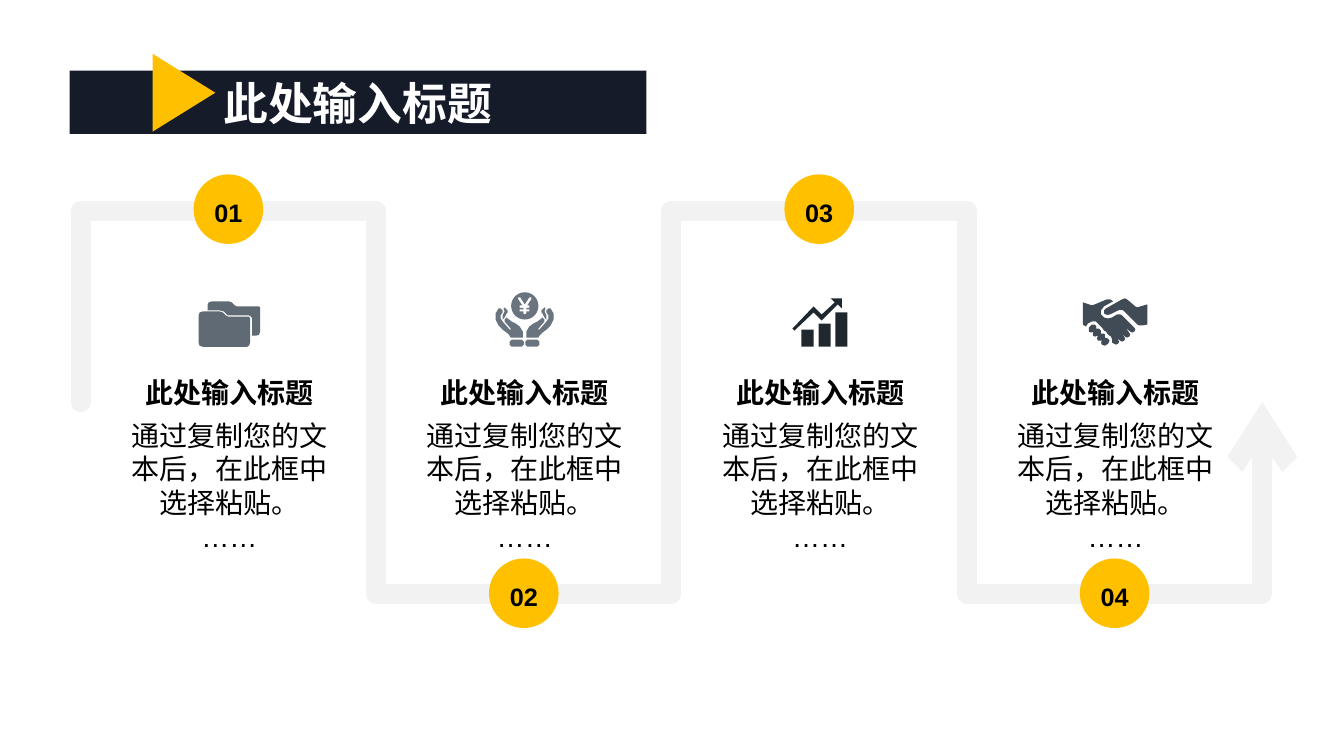
from math import cos, pi, sin

from lxml.etree import SubElement
from pptx import Presentation
from pptx.dml.color import RGBColor
from pptx.enum.shapes import MSO_SHAPE as Shape
from pptx.enum.text import MSO_ANCHOR as Anchor, PP_ALIGN as Align
from pptx.oxml.ns import qn
from pptx.util import Inches, Pt

NAVY = RGBColor(0x15, 0x1B, 0x29)
AMBER = RGBColor(0xFF, 0xC0, 0x00)
PALE = RGBColor(0xF2, 0xF2, 0xF2)
BLACK = RGBColor(0, 0, 0)
WHITE = RGBColor(0xFF, 0xFF, 0xFF)
FOLDER_GREY = RGBColor(0x60, 0x6A, 0x74)
HANDS_GREY = RGBColor(0x69, 0x74, 0x7E)
CHART_GREY = RGBColor(0x20, 0x28, 0x2F)
SHAKE_GREY = RGBColor(0x41, 0x4B, 0x56)

TITLE = "此处输入标题"
BODY = ["通过复制您的文本后，在此框中选择粘贴。", "……"]
STEP = 2.93  # distance between neighbouring columns

prs = Presentation()
prs.slide_width, prs.slide_height = Inches(13.33), Inches(7.5)
slide = prs.slides.add_slide(prs.slide_layouts[6])
shapes = slide.shapes


def outline(contours, closed=True):
    """Freeform from contours given in hundredths of an inch."""
    contours = [[(x * 10, y * 10) for x, y in c] for c in contours]
    builder = shapes.build_freeform(*contours[0][0], scale=Inches(1) / 1000)
    for number, contour in enumerate(contours):
        if number:
            builder.move_to(*contour[0])
        builder.add_line_segments(contour[1:], close=closed)
    drawn = builder.convert_to_shape()
    drawn.shadow.inherit = False
    return drawn


def write(frame, lines, size, color, bold, anchor, spacing=None):
    frame.word_wrap = True
    frame.vertical_anchor = anchor
    frame.text = "\n".join(lines)
    for paragraph in frame.paragraphs:
        paragraph.alignment = Align.CENTER
        paragraph.line_spacing = spacing
        font = paragraph.font
        font.name, font.size, font.bold = "Arial", Pt(size), bold
        font.color.rgb = color


# Icon outlines
folder = [
    [(201, 309), (218, 309), (221, 310), (224, 313), (226, 314), (247, 314), (248, 316),
     (248, 340), (247, 343), (245, 344), (201, 344), (198, 343), (197, 340), (197, 313),
     (198, 310)],
    [(210, 299), (227, 299), (230, 300), (233, 303), (235, 304), (257, 304), (258, 305),
     (258, 329), (257, 332), (254, 333), (250, 333), (250, 316), (249, 314), (247, 313),
     (226, 313), (225, 312), (222, 309), (218, 308), (206, 308), (206, 302), (207, 300)],
]
right_hand = [
    [(523, 337), (533, 337), (535, 339), (535, 342), (533, 344), (523, 344), (521, 342),
     (521, 339)],
    [(545, 306), (546, 306), (549, 311), (549, 317), (546, 323), (542, 327), (538, 330),
     (535, 333), (534, 335), (522, 335), (522, 329), (525, 324), (529, 321), (533, 319),
     (537, 316), (538, 315), (540, 317), (540, 319), (534, 326), (534, 327), (535, 327),
     (542, 319), (544, 316), (544, 313), (542, 310), (542, 308), (544, 306)],
    [(540, 305), (541, 306), (540, 309), (542, 313), (542, 317), (540, 315), (538, 311),
     (537, 310), (537, 308), (539, 306)],
]
left_hand = [[(1040.5 - x, y) for x, y in contour] for contour in right_hand]
coin = [(520.5 + 13.5 * cos(a * pi / 18), 303.5 + 13.5 * sin(a * pi / 18)) for a in range(36)]
yen = [(516, 295), (514, 295), (514, 297), (518, 303), (515.5, 303), (515.5, 305.5), (519, 305.5),
       (519, 307), (515.5, 307), (515.5, 309), (519, 309), (519, 311), (520.5, 312),
       (522, 311), (522, 309), (525, 309), (525, 307), (522, 307), (522, 305.5),
       (525, 305.5), (525, 303), (523, 303), (527, 297), (527, 295), (525, 295),
       (520.5, 302)]
growth = [
    [(815, 318), (807, 310), (788, 328), (786, 326), (807, 304), (815, 312), (828, 300),
     (824, 296), (835, 296), (835, 306), (831, 302)],
] + [[(x, top), (x + 12, top), (x + 12, 344), (x, 344)]
     for x, top in ((795, 327), (812, 321), (828.5, 310))]
handshake = [
    [(1138, 302), (1138, 322), (1133, 323), (1130, 323), (1128, 322), (1114, 308), (1112, 307.5),
     (1109, 308), (1101, 312), (1098, 312.5), (1095, 311), (1095, 308), (1097, 306),
     (1113, 297), (1116, 296), (1119, 298), (1126, 304), (1128, 305)],
    [(1096, 335), (1096, 332), (1095, 331), (1092, 331), (1092, 328), (1090, 326),
     (1087, 326), (1087.5, 324), (1086, 322), (1083, 322), (1080, 325), (1080, 329),
     (1082, 330), (1084, 329), (1084, 333), (1086, 334), (1089, 333), (1088, 336),
     (1089, 338), (1093, 338), (1092, 340), (1093, 342), (1096, 343), (1099, 341),
     (1100.5, 338), (1099, 336)],
    [(1125, 325), (1113, 313), (1111, 312), (1108, 312), (1103, 315), (1099, 316),
     (1095, 315), (1092, 312), (1092, 308), (1095, 304), (1104, 299), (1101, 297),
     (1098, 297), (1086, 302), (1083, 303), (1080, 302), (1074, 300), (1074, 322),
     (1077, 324), (1079, 321), (1083, 319), (1087, 319), (1090, 322), (1093, 325),
     (1095, 328), (1097, 329), (1099, 332), (1102, 334), (1103, 337), (1103, 340),
     (1105, 341), (1107, 342), (1109, 341), (1110, 339), (1109, 337), (1105, 333),
     (1111, 338), (1113, 339), (1115, 338), (1116, 336), (1115, 334), (1110, 329),
     (1116, 334), (1118, 335), (1120, 334), (1121, 332), (1120, 330), (1116, 325),
     (1121, 329), (1123, 330), (1125, 329), (1126, 327)],
]
icons = [
    (folder, FOLDER_GREY),
    (right_hand + left_hand + [coin, yen], HANDS_GREY),
    (growth, CHART_GREY),
    (handshake, SHAKE_GREY),
]

# Winding track: four U-shaped stretches, the last ending in an arrowhead
for column in range(4):
    left, right = 80 + column * STEP * 100, 80 + (column + 1) * STEP * 100
    turn = 589 if column % 2 else 209
    track = outline([[(left, 399), (left, turn), (right, turn), (right, 399)]], closed=False)
    track.fill.background()
    track.line.color.rgb = PALE
    track.line.width = Pt(14.25)
    stroke = track.line._get_or_add_ln()
    stroke.set("cap", "rnd")
    SubElement(stroke, qn("a:round"))
    if column == 3:
        SubElement(stroke, qn("a:tailEnd"), type="arrow")

# Columns: icon, heading, body and number
for column, (contours, grey) in enumerate(icons):
    icon = outline(contours)
    icon.fill.solid()
    icon.fill.fore_color.rgb = grey
    icon.line.fill.background()

    left = Inches(1.07 + column * STEP)
    heading = shapes.add_textbox(left, Inches(3.64), Inches(2.41), Inches(0.47))
    write(heading.text_frame, [TITLE], 20, BLACK, True, Anchor.BOTTOM, 1.2)
    body = shapes.add_textbox(left, Inches(4.1), Inches(2.41), Inches(0.96))
    write(body.text_frame, BODY, 20, BLACK, False, Anchor.TOP)

    number = shapes.add_shape(Shape.OVAL, Inches(1.92 + column * STEP),
                              Inches(5.54 if column % 2 else 1.73), Inches(0.69), Inches(0.69))
    number.shadow.inherit = False
    number.fill.solid()
    number.fill.fore_color.rgb = AMBER
    number.line.fill.background()
    write(number.text_frame, [f"{column + 1:02}"], 18, BLACK, True, Anchor.MIDDLE, 1.2)

# Title bar with its pointer
banner = shapes.add_shape(Shape.RECTANGLE, Inches(0.69), Inches(0.7), Inches(5.72), Inches(0.63))
pointer = shapes.add_shape(Shape.ISOSCELES_TRIANGLE, Inches(1.44), Inches(0.61),
                           Inches(0.77), Inches(0.62))
pointer.rotation = 90
for part, color in ((banner, NAVY), (pointer, AMBER)):
    part.shadow.inherit = False
    part.fill.solid()
    part.fill.fore_color.rgb = color
    part.line.fill.background()
write(banner.text_frame, [TITLE], 32, WHITE, True, Anchor.BOTTOM)

prs.save("out.pptx")
